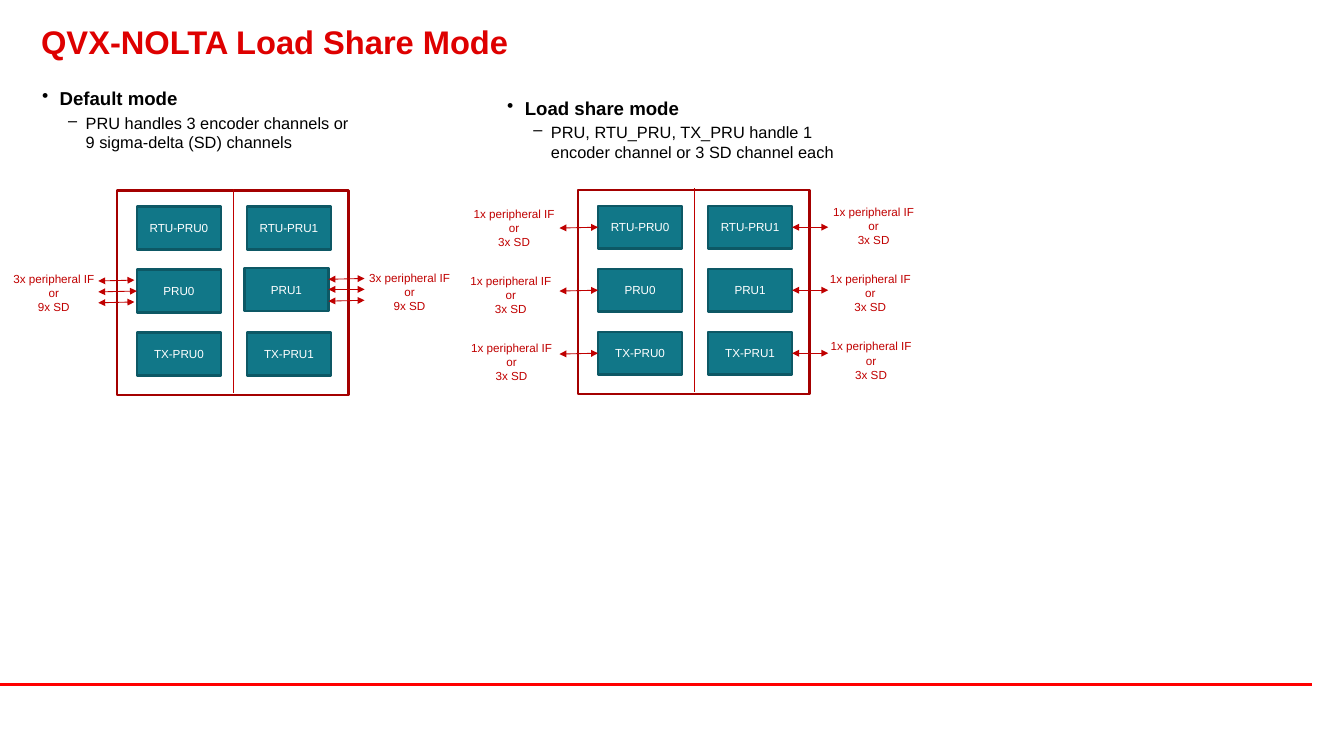
from lxml.etree import SubElement
from pptx import Presentation
from pptx.dml.color import RGBColor
from pptx.enum.shapes import MSO_CONNECTOR, MSO_SHAPE
from pptx.enum.text import MSO_ANCHOR, PP_ALIGN
from pptx.oxml.ns import qn
from pptx.util import Inches, Pt

TITLE_RED = RGBColor(0xDE, 0x00, 0x00)
RULE_RED = RGBColor(0xFF, 0x00, 0x00)
FRAME_RED = RGBColor(0xA4, 0x00, 0x00)
SIGNAL_RED = RGBColor(0xC0, 0x00, 0x00)
TEAL = RGBColor(0x11, 0x77, 0x88)
DARK_TEAL = RGBColor(0x0D, 0x58, 0x65)
BLACK = RGBColor(0x00, 0x00, 0x00)
WHITE = RGBColor(0xFF, 0xFF, 0xFF)

LEFT_SIDE, RIGHT_SIDE = 1, 3
CORE_PREFIXES = ("RTU-PRU", "PRU", "TX-PRU")
SHARED_LABEL = ("1x peripheral IF", "or\v3x SD")
DEFAULT_LABEL = ("3x peripheral IF", "or", "9x SD")


def set_values(target, values):
    for name, value in values.items():
        setattr(target, name, value)


def style_text(para, size, color, bold=False):
    for span in para.runs:
        set_values(span.font, {"name": "Arial", "size": Pt(size), "bold": bold})
        span.font.color.rgb = color


def style_line(line, color, width):
    line.color.rgb = color
    line.width = Pt(width)


def add_line(page, start, end, color, width):
    line = page.shapes.add_connector(
        MSO_CONNECTOR.STRAIGHT, *start, *end)
    style_line(line.line, color, width)
    SubElement(line._element.spPr, qn("a:effectLst"))
    return line


def add_box(page, left, top, width, height, outline):
    box = page.shapes.add_shape(MSO_SHAPE.RECTANGLE, left, top, width, height)
    box.shadow.inherit = False
    style_line(box.line, outline, 2)
    return box


def add_title(page, text, left, top, width, height):
    title = page.shapes.title
    set_values(title, {"left": left, "top": top, "width": width, "height": height})
    frame = title.text_frame
    frame.text = text
    set_values(frame, {
        "vertical_anchor": MSO_ANCHOR.MIDDLE, "word_wrap": True,
        "margin_left": Inches(0.08), "margin_right": Inches(0.08),
        "margin_top": Inches(0.04), "margin_bottom": Inches(0.04)})
    para = frame.paragraphs[0]
    set_values(para, {"alignment": PP_ALIGN.LEFT, "line_spacing": 0.85})
    style_text(para, 28, TITLE_RED, True)


def add_summary(page, heading, detail, left, top, width, height, inset):
    frame = page.shapes.add_textbox(left, top, width, height).text_frame
    set_values(frame, {
        "word_wrap": True, "margin_left": inset, "margin_right": inset,
        "margin_top": inset // 2, "margin_bottom": inset // 2})
    rows = ((heading, "•", 0.21, 16, True, 0), (detail, "–", 0.52, 14, False, 2.8))
    for level, (text, mark, indent, size, bold, space) in enumerate(rows):
        para = frame.add_paragraph() if level else frame.paragraphs[0]
        para.text = text
        set_values(para, {"level": level, "space_before": Pt(space)})
        properties = para._p.get_or_add_pPr()
        properties.set("marL", str(Inches(indent)))
        properties.set("indent", str(Inches(-0.21)))
        SubElement(properties, qn("a:buChar"), char=mark)
        style_text(para, size, BLACK, bold)


def add_label(page, lines, left, top, width):
    frame = page.shapes.add_textbox(left, top, width, Inches(0.61)).text_frame
    set_values(frame, {"word_wrap": True, "margin_left": 0, "margin_right": 0})
    for index, text in enumerate(lines):
        para = frame.add_paragraph() if index else frame.paragraphs[0]
        para.text = text
        para.alignment = PP_ALIGN.CENTER
        style_text(para, 10, SIGNAL_RED)


def add_core(page, name, left, top):
    core = add_box(page, left, top, Inches(1), Inches(0.51), DARK_TEAL)
    core.fill.solid()
    core.fill.fore_color.rgb = TEAL
    frame = core.text_frame
    frame.text = name
    frame.vertical_anchor = MSO_ANCHOR.MIDDLE
    frame.paragraphs[0].alignment = PP_ALIGN.CENTER
    style_text(frame.paragraphs[0], 10, WHITE)
    return core


def add_arrow(page, core, side, offset=0):
    middle = core.top + core.height // 2 + Inches(offset)
    if side == LEFT_SIDE:
        start, end = core.left - Inches(0.46), core.left - Inches(0.03)
    else:
        start, end = core.left + core.width, core.left + core.width + Inches(0.43)
    arrow = add_line(page, (start, middle + Inches(0.01)), (end, middle),
                     SIGNAL_RED, 0.75)
    if offset == 0:
        join = arrow.end_connect if side == LEFT_SIDE else arrow.begin_connect
        join(core, side)
    outline = arrow.line._get_or_add_ln()
    for tag in ("a:headEnd", "a:tailEnd"):
        SubElement(outline, qn(tag), type="triangle")


def add_cores(page, left, top, shifts):
    add_box(page, left, top, Inches(2.76), Inches(2.43), FRAME_RED).fill.background()
    middle = left + Inches(1.39)
    add_line(page, (middle, top - Inches(0.02)), (middle, top + Inches(2.41)),
             SIGNAL_RED, 1)
    cores = {}
    for column in range(2):
        for row, prefix in enumerate(CORE_PREFIXES):
            name = f"{prefix}{column}"
            shift_x, shift_y = shifts.get(name, (0, 0))
            cores[name] = add_core(
                page, name, left + Inches(0.24 + 1.31 * column + shift_x),
                top + Inches(0.19 + 0.75 * row + shift_y))
    return cores


def add_default_mode(page, left, top):
    add_summary(page, "Default mode",
                "PRU handles 3 encoder channels or \v9 sigma-delta (SD) channels",
                left - Inches(0.97), top - Inches(1.27),
                Inches(4.09), Inches(0.97), Inches(0.08))
    cores = add_cores(page, left, top, {"PRU1": (-0.03, -0.02)})
    for name, side in (("PRU0", LEFT_SIDE), ("PRU1", RIGHT_SIDE)):
        for offset in (-0.13, 0, 0.13):
            add_arrow(page, cores[name], side, offset)
    add_label(page, DEFAULT_LABEL, left - Inches(1.79), top + Inches(0.92), Inches(2.08))
    add_label(page, DEFAULT_LABEL, left + Inches(2.54), top + Inches(0.9), Inches(1.89))


def add_load_share_mode(page, left, top):
    add_summary(page, "Load share mode",
                "PRU, RTU_PRU, TX_PRU handle 1 encoder channel or 3 SD channel each",
                left - Inches(0.94), top - Inches(1.16),
                Inches(4.42), Inches(0.87), Inches(0.1))
    cores = add_cores(page, left, top, {})
    sides = ((LEFT_SIDE, -1.39, 0.15), (RIGHT_SIDE, 2.89, 0.13))
    for column, (side, label_x, label_y) in enumerate(sides):
        for row, shift in enumerate((0.04, 0, 0.01)):
            add_arrow(page, cores[f"{CORE_PREFIXES[row]}{column}"], side)
            add_label(page, SHARED_LABEL, left + Inches(label_x + shift),
                      top + Inches(label_y + 0.8 * row), Inches(1.18))


def main():
    deck = Presentation()
    deck.slide_width, deck.slide_height = Inches(16), Inches(9)
    page = deck.slides.add_slide(deck.slide_layouts[5])
    add_line(page, (0, Inches(8.15)), (Inches(15.62), Inches(8.15)), RULE_RED, 2.25)
    add_title(page, "QVX-NOLTA Load Share Mode",
              Inches(0.41), Inches(0.19), Inches(14.8), Inches(0.68))
    add_default_mode(page, Inches(1.39), Inches(2.27))
    add_load_share_mode(page, Inches(6.88), Inches(2.26))
    deck.save("out.pptx")


if __name__ == "__main__":
    main()
